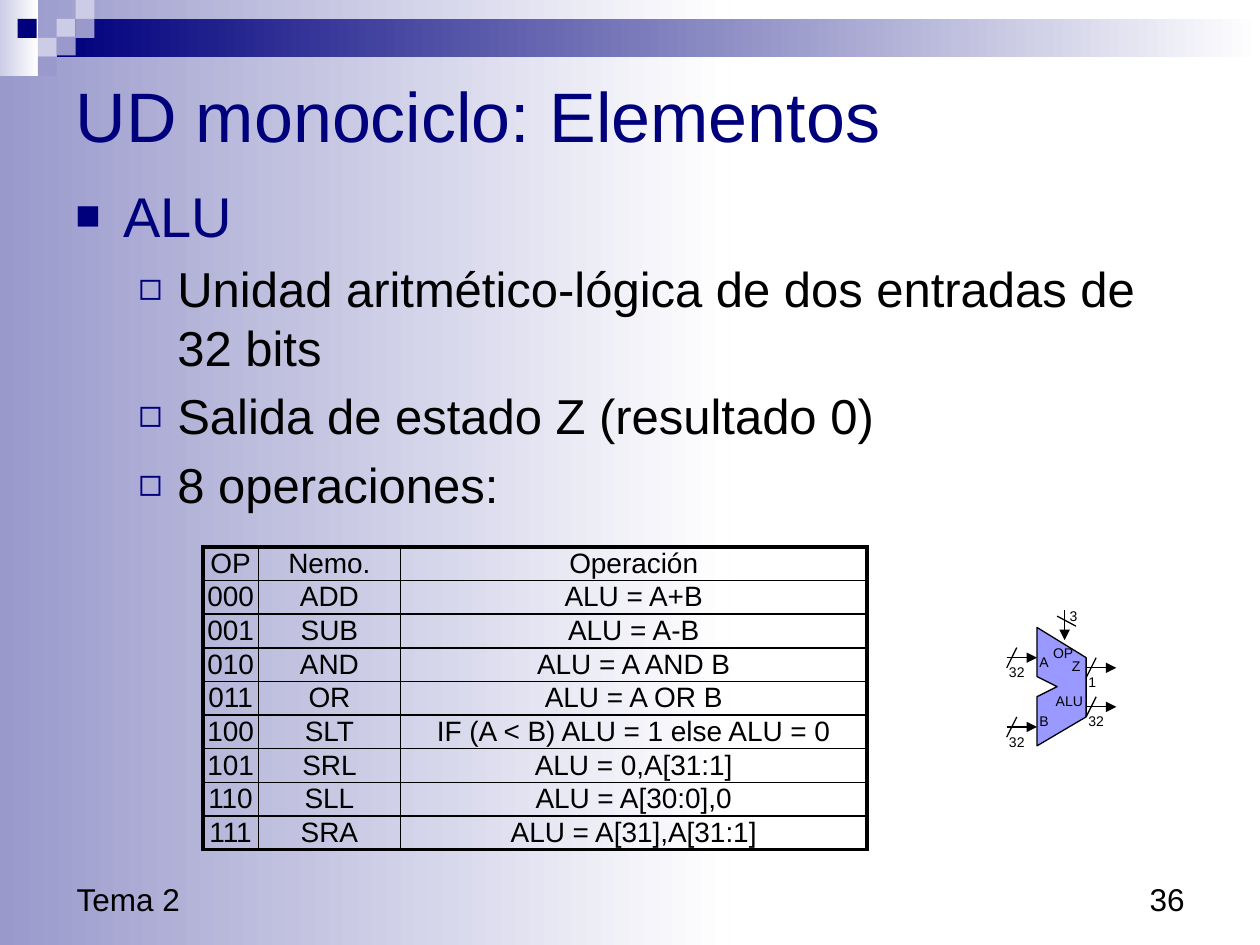
from typing import NamedTuple

from lxml import etree
from pptx import Presentation
from pptx.dml.color import RGBColor
from pptx.enum.shapes import MSO_CONNECTOR, MSO_SHAPE
from pptx.enum.text import MSO_ANCHOR, MSO_AUTO_SIZE, PP_ALIGN
from pptx.oxml.ns import qn
from pptx.util import Inches, Pt

RECTANGLE, STRAIGHT = MSO_SHAPE.RECTANGLE, MSO_CONNECTOR.STRAIGHT
LEFT, CENTER, RIGHT = PP_ALIGN.LEFT, PP_ALIGN.CENTER, PP_ALIGN.RIGHT
TOP, MIDDLE, BOTTOM = MSO_ANCHOR.TOP, MSO_ANCHOR.MIDDLE, MSO_ANCHOR.BOTTOM

NAVY = RGBColor(0x00, 0x00, 0x7D)
LAVENDER = RGBColor(0x99, 0x99, 0xCC)
PALE = RGBColor(0xCC, 0xCC, 0xE6)
ALU_BLUE = RGBColor(0x99, 0x99, 0xFF)
WHITE = RGBColor(0xFF, 0xFF, 0xFF)
BLACK = RGBColor(0, 0, 0)
FONT = "Arial"
TILE = 0.15


class Band(NamedTuple):
    left: float
    top: float
    width: float
    height: float
    color: RGBColor
    fades: bool = False


class Level(NamedTuple):
    bullet: str
    bullet_percent: int
    margin: float
    hanging: float
    size: int
    color: RGBColor


class Line(NamedTuple):
    x1: float
    y1: float
    x2: float
    y2: float
    arrow: bool = False


class Label(NamedTuple):
    left: float
    top: float
    width: float
    text: str


BANDS = [
    Band(0, 0, 5.79, 7.5, LAVENDER, True),
    Band(0, 0, 0.3, 0.6, PALE, True),
    Band(0.45, 0.15, 9.55, 0.3, NAVY, True),
] + [Band(left, top, TILE, TILE, color) for left, top, color in (
    (0.45, 0.15, PALE), (0.6, 0, PALE), (0.6, 0.15, LAVENDER), (0.3, 0.3, PALE),
    (0.14, 0.15, NAVY), (0.45, 0.29, LAVENDER), (0.3, 0.45, LAVENDER))]

TOPIC = Level("■", 75, 0.38, 0.38, 32, NAVY)
DETAIL = Level("◻", 80, 0.81, 0.31, 28, BLACK)
BODY = [
    (TOPIC, "ALU"),
    (DETAIL, "Unidad aritmético-lógica de dos entradas de 32 bits"),
    (DETAIL, "Salida de estado Z (resultado 0)"),
    (DETAIL, "8 operaciones:"),
]

OPERATIONS = [
    ("OP", "Nemo.", "Operación"),
    ("000", "ADD", "ALU = A+B"),
    ("001", "SUB", "ALU = A-B"),
    ("010", "AND", "ALU = A AND B"),
    ("011", "OR", "ALU = A OR B"),
    ("100", "SLT", "IF (A < B) ALU = 1 else ALU = 0"),
    ("101", "SRL", "ALU = 0,A[31:1]"),
    ("110", "SLL", "ALU = A[30:0],0"),
    ("111", "SRA", "ALU = A[31],A[31:1]"),
]
COLUMN_WIDTHS = (0.44, 1.13, 3.7)
ROW_HEIGHT = 0.247

ALU_OUTLINE = [(8.23, 4.98), (8.23, 5.37), (8.39, 5.45), (8.23, 5.53),
               (8.23, 5.92), (8.62, 5.69), (8.62, 5.22)]
# Each horizontal bus: start of its arrow and its width in bits
BUSES = [(8.62, 5.61, "32"), (7.99, 5.77, "32"), (7.99, 5.22, "32"), (8.62, 5.3, "1")]
CONTROL_LINES = [Line(8.45, 4.84, 8.45, 5.08, True), Line(8.54, 4.97, 8.39, 4.89)]
ALU_LABELS = [
    Label(8.28, 5.45, 0.42, "ALU"), Label(8.41, 5.17, 0.27, "Z"),
    Label(8.15, 5.14, 0.28, "A"), Label(8.15, 5.61, 0.28, "B"),
    Label(8.39, 4.77, 0.26, "3"), Label(8.26, 5.07, 0.36, "OP"),
]


def style(para, size: float, color: RGBColor = BLACK, align=LEFT) -> None:
    para.alignment = align
    para.font.name, para.font.size = FONT, Pt(size)
    para.font.color.rgb = color


def add_text(shapes, text: str, left: float, top: float, width: float, height: float,
             size: float, align=LEFT, anchor=TOP, wrap: bool = True) -> None:
    frame = shapes.add_textbox(Inches(left), Inches(top), Inches(width), Inches(height)).text_frame
    frame.word_wrap, frame.vertical_anchor = wrap, anchor
    frame.text = text
    style(frame.paragraphs[0], size, align=align)


def add_band(shapes, band: Band) -> None:
    shape = shapes.add_shape(RECTANGLE, *(Inches(value) for value in band[:4]))
    shape.shadow.inherit = False
    shape.line.fill.background()
    if band.fades:
        shape.fill.gradient()
        shape.fill.gradient_angle = 0
        for stop, color in zip(shape.fill.gradient_stops, (band.color, WHITE)):
            stop.color.rgb = color
    else:
        shape.fill.solid()
        shape.fill.fore_color.rgb = band.color


def add_bullet(para, level: Level) -> None:
    properties = para._p.get_or_add_pPr()
    properties.set("marL", str(Inches(level.margin)))
    properties.set("indent", str(-Inches(level.hanging)))
    color = etree.SubElement(properties, qn("a:buClr"))
    etree.SubElement(color, qn("a:srgbClr"), val=str(NAVY))
    etree.SubElement(properties, qn("a:buSzPct"), val=str(level.bullet_percent * 1000))
    etree.SubElement(properties, qn("a:buFont"), typeface=FONT)
    etree.SubElement(properties, qn("a:buChar"), char=level.bullet)


def add_body(shapes) -> None:
    frame = shapes.add_textbox(Inches(0.5), Inches(1.39), Inches(9), Inches(5.43)).text_frame
    frame.word_wrap = True
    for index, (level, text) in enumerate(BODY):
        para = frame.add_paragraph() if index else frame.paragraphs[0]
        para.text = text
        style(para, level.size, level.color)
        para.level = 0 if level is TOPIC else 1
        para.space_before = Pt(level.size * 0.2)
        add_bullet(para, level)


def set_borders(cell, widths: dict[str, float]) -> None:
    properties = cell._tc.get_or_add_tcPr()
    for index, (side, width) in enumerate(widths.items()):
        border = etree.Element(qn(f"a:{side}"), w=str(Pt(width)))
        fill = etree.SubElement(border, qn("a:solidFill"))
        etree.SubElement(fill, qn("a:srgbClr"), val=str(BLACK))
        properties.insert(index, border)


def add_operations(shapes) -> None:
    last_row, last_column = len(OPERATIONS) - 1, len(COLUMN_WIDTHS) - 1
    table = shapes.add_table(last_row + 1, last_column + 1, Inches(1.61), Inches(4.34),
                             Inches(sum(COLUMN_WIDTHS)),
                             Inches(ROW_HEIGHT * len(OPERATIONS))).table
    table.first_row = table.horz_banding = False
    for column, width in zip(table.columns, COLUMN_WIDTHS):
        column.width = Inches(width)
    for r, texts in enumerate(OPERATIONS):
        table.rows[r].height = Inches(ROW_HEIGHT)
        for c, text in enumerate(texts):
            cell = table.cell(r, c)
            cell.text = text
            cell.fill.background()
            cell.vertical_anchor = MIDDLE
            cell.margin_left = cell.margin_right = cell.margin_top = cell.margin_bottom = 0
            style(cell.text_frame.paragraphs[0], 16, align=CENTER)
            outer = {"lnL": c == 0, "lnR": c == last_column, "lnT": r == 0, "lnB": r == last_row}
            set_borders(cell, {side: 2.25 if edge else 1 for side, edge in outer.items()})


def add_line(shapes, line: Line) -> None:
    connector = shapes.add_connector(STRAIGHT, *(Inches(value) for value in line[:4]))
    connector.line.color.rgb = BLACK
    connector.line.width = Pt(0.75)
    if line.arrow:
        etree.SubElement(connector.line._get_or_add_ln(), qn("a:tailEnd"), type="triangle")
    etree.SubElement(connector._element.spPr, qn("a:effectLst"))


def add_alu(shapes) -> None:
    points = [(Inches(x), Inches(y)) for x, y in ALU_OUTLINE]
    builder = shapes.build_freeform(*points[0])
    builder.add_line_segments(points[1:], close=True)
    body = builder.convert_to_shape()
    body.shadow.inherit = False
    body.fill.solid()
    body.fill.fore_color.rgb = ALU_BLUE
    body.line.color.rgb = BLACK
    body.line.width = Pt(0.75)

    lines, labels = list(CONTROL_LINES), list(ALU_LABELS)
    for x, y, bits in BUSES:
        lines += [Line(x, y, x + 0.24, y, True), Line(x + 0.08, y - 0.08, x, y + 0.08)]
        labels.append(Label(x - 0.08, y, 0.33 if len(bits) > 1 else 0.26, bits))
    for line in lines:
        add_line(shapes, line)
    for label in labels:
        add_text(shapes, label.text, label.left, label.top, label.width, 0.23, 8, wrap=False)


def main() -> None:
    deck = Presentation()
    deck.slide_width, deck.slide_height = Inches(10), Inches(7.5)
    page = deck.slides.add_slide(deck.slide_layouts[5])
    shapes = page.shapes

    # Background decoration and footer
    for band in BANDS:
        add_band(shapes, band)
    add_text(shapes, "Tema 2", 0.51, 6.83, 3.17, 0.5, 18, anchor=BOTTOM)
    add_text(shapes, "36", 7.17, 6.83, 2.33, 0.5, 18, RIGHT, BOTTOM)

    # Title, brought in front of the decoration
    title = shapes.title
    title.left, title.top, title.width, title.height = (Inches(v) for v in (0.5, 0.5, 9, 0.81))
    title.text_frame.text = "UD monociclo: Elementos"
    title.text_frame.auto_size = MSO_AUTO_SIZE.NONE
    title.text_frame.vertical_anchor = MIDDLE
    style(title.text_frame.paragraphs[0], 40, NAVY)
    title.element.getparent().append(title.element)

    # Content
    add_body(shapes)
    add_operations(shapes)
    add_alu(shapes.add_group_shape().shapes)
    deck.save("out.pptx")


if __name__ == "__main__":
    main()
